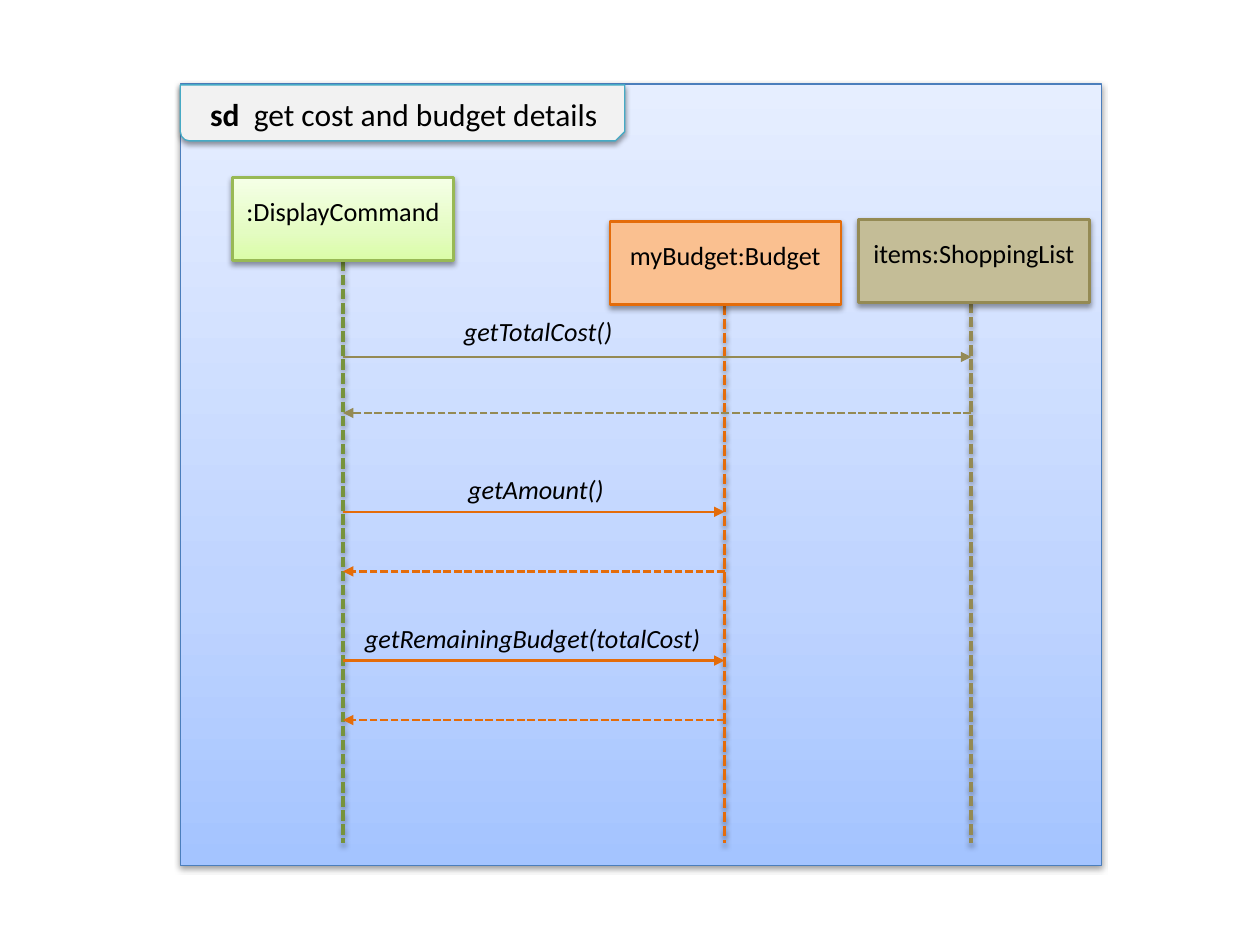
from copy import deepcopy
from pptx import Presentation
from pptx.dml.color import RGBColor as RGB
from pptx.enum.dml import MSO_LINE
from pptx.enum.shapes import MSO_CONNECTOR as CONN, MSO_SHAPE as SHAPE
from pptx.enum.text import MSO_ANCHOR as ANCHOR, PP_ALIGN as ALIGN
from pptx.oxml import parse_xml
from pptx.oxml.ns import nsdecls
from pptx.util import Pt

FONT = "Calibri"
COLORS = {
    "text": "000000",
    "frame_line": "4B7EBC", "tab": "F2F2F2", "tab_line": "46AAC5",
    "command_line": "98B955", "command_life": "77933C",
    "budget": "FAC090", "budget_line": "E46C0A",
    "items": "C4BD97", "items_line": "948A54",
}
GRADIENTS = {
    "frame": ("A4C4FF", "BFD4FF", "E6EEFF"),
    "command": ("DAFDA7", "E4FCC2", "F5FFE7"),
}


def color(name):
    """Return the named colour."""
    return RGB.from_string(COLORS[name])


def set_effect(s, shadow):
    """Give a shape or connector a soft drop shadow, or none."""
    drop = ('<a:outerShdw blurRad="40000" dist="20000" dir="5400000" rotWithShape="0">'
            '<a:srgbClr val="000000"><a:alpha val="38000"/></a:srgbClr></a:outerShdw>')
    s._element.spPr.append(parse_xml(
        f'<a:effectLst {nsdecls("a")}>{drop if shadow else ""}</a:effectLst>'))


def set_fill(s, name):
    """Fill with a named solid colour or an upward three-stop gradient."""
    if name not in GRADIENTS:
        s.fill.solid()
        s.fill.fore_color.rgb = color(name)
        return
    s.fill.gradient()
    s.fill.gradient_angle = 90
    stop_list = s._element.spPr.find(".//{*}gsLst")
    stop_list.append(deepcopy(stop_list[-1]))
    for stop, rgb, pos in zip(s.fill.gradient_stops, GRADIENTS[name], (0, 0.35, 1)):
        stop.color.rgb = RGB.from_string(rgb)
        stop.position = pos


def add_box(slide, kind, box, fill, line, width):
    """Add a filled, outlined shape with a shadow."""
    s = slide.shapes.add_shape(kind, *map(Pt, box))
    set_fill(s, fill)
    s.line.color.rgb = color(line)
    s.line.width = Pt(width)
    set_effect(s, True)
    return s


def add_line(slide, start, end, line, width, dashed=False, arrow=False, shadow=False):
    """Add a straight line, optionally dashed, with an arrowhead or a shadow."""
    s = slide.shapes.add_connector(CONN.STRAIGHT, *map(Pt, (*start, *end)))
    s.line.color.rgb = color(line)
    s.line.width = Pt(width)
    if dashed:
        s.line.dash_style = MSO_LINE.SQUARE_DOT
    if arrow:
        s.line._get_or_add_ln().append(
            parse_xml(f'<a:tailEnd {nsdecls("a")} type="triangle"/>'))
    set_effect(s, shadow)


def set_font(p, size, italic=False):
    """Set the font of a paragraph."""
    p.font.name, p.font.size, p.font.italic = FONT, Pt(size), italic
    p.font.color.rgb = color("text")


def add_label(slide, box, parts, size, italic=False):
    """Add a text box with one line made of (text, bold) parts."""
    tf = slide.shapes.add_textbox(*map(Pt, box)).text_frame
    tf.word_wrap = False
    p = tf.paragraphs[0]
    set_font(p, size, italic)
    for text, bold in parts:
        r = p.add_run()
        r.text, r.font.bold = text, bold


def add_frame(slide, box):
    """Draw the diagram frame and its title tab."""
    x, y, w, h = box
    add_box(slide, SHAPE.RECTANGLE, box, "frame", "frame_line", 0.75)
    tab = add_box(slide, SHAPE.SNIP_ROUND_RECTANGLE, (x, y + 0.5, 254, 32),
                  "tab", "tab_line", 0.75)
    tab.rotation = 180
    tab._element.spPr.xfrm.set("flipH", "1")
    add_label(slide, (x + 10, y + 3, 330, 30),
              [("sd ", True), (" get cost and budget details", False)], 18)


def add_lifeline(slide, box, text, fill, line, life, x, bottom):
    """Draw a participant's header in the box and its dashed lifeline at x."""
    left, top, w, h = box
    add_line(slide, (x, top + h), (x, bottom), life, 2, dashed=True, shadow=True)
    s = add_box(slide, SHAPE.RECTANGLE, box, fill, line, 1.5)
    tf = s.text_frame
    tf.word_wrap = False
    tf.vertical_anchor = ANCHOR.TOP
    tf.margin_top = tf.margin_bottom = Pt(10)
    p = tf.paragraphs[0]
    p.text, p.alignment = text, ALIGN.CENTER
    set_font(p, 15)


def add_call(slide, x1, x2, y, gap, line, label, label_box):
    """Draw a labelled call arrow at y and its dashed return below it."""
    add_line(slide, (x1, y), (x2, y), line, 1.5, arrow=True)
    add_line(slide, (x2, y + gap), (x1, y + gap), line, 1.5, dashed=True, arrow=True)
    add_label(slide, label_box, [(label, False)], 15, italic=True)


def add_sequence(slide, box):
    """Draw the whole sequence diagram inside the box."""
    x, y, w, h = box
    add_frame(slide, box)
    command, budget, items = x + 93, x + 311, x + 452
    for text, left, top, width, fill, life, axis in (
            (":DisplayCommand", 30, 53.5, 126, "command", "command_life", command),
            ("items:ShoppingList", 387.5, 77.5, 132, "items", "items_line", items),
            ("myBudget:Budget", 245.5, 78.5, 132, "budget", "budget_line", budget)):
        add_lifeline(slide, (x + left, y + top, width, 47.5), text, fill,
                     fill + "_line", life, axis, y + h - 12.5)
    for label, target, top, gap, line, left, rise, width in (
            ("getTotalCost()", items, 156, 32, "items_line", 155, 27.5, 108),
            ("getAmount()", budget, 244.5, 34, "budget_line", 157.5, 25.5, 94),
            ("getRemainingBudget(totalCost)", budget, 329.5, 34, "budget_line",
             98.5, 25.5, 210)):
        add_call(slide, command, target, y + top, gap, line, label,
                 (x + left, y + top - rise, width, 25.5))


prs = Presentation()
prs.slide_width, prs.slide_height = Pt(720), Pt(540)
slide = prs.slides.add_slide(prs.slide_layouts[6])
add_sequence(slide, (103, 48, 526.5, 446.5))
prs.save("out.pptx")
